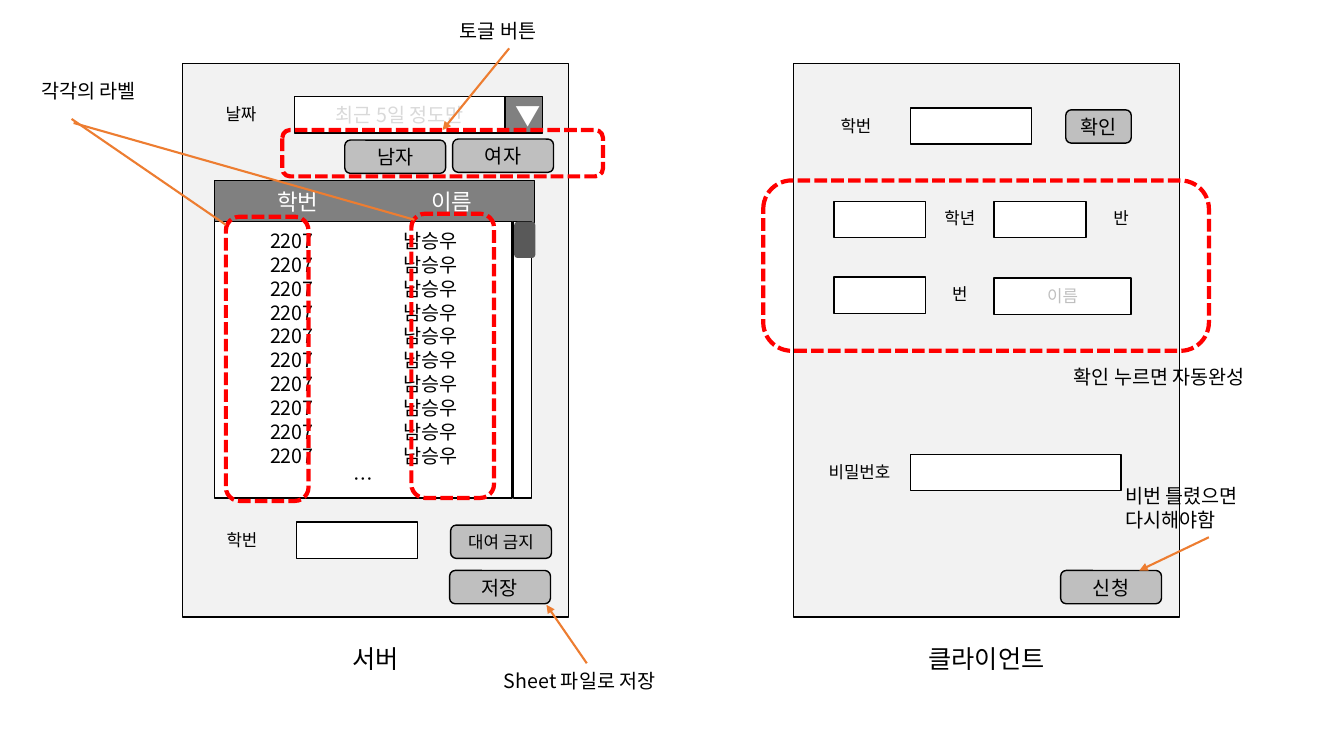
"""Build a wireframe slide of a server screen and a client screen with annotations."""
from lxml import etree
from pptx import Presentation
from pptx.dml.color import RGBColor
from pptx.enum.dml import MSO_LINE
from pptx.enum.shapes import MSO_CONNECTOR, MSO_SHAPE
from pptx.enum.text import MSO_ANCHOR, PP_ALIGN
from pptx.oxml.ns import qn
from pptx.util import Inches, Pt

RECTANGLE, ROUNDED = MSO_SHAPE.RECTANGLE, MSO_SHAPE.ROUNDED_RECTANGLE
LEFT, CENTER = PP_ALIGN.LEFT, PP_ALIGN.CENTER
TOP, MIDDLE = MSO_ANCHOR.TOP, MSO_ANCHOR.MIDDLE
STRAIGHT, DASHED = MSO_CONNECTOR.STRAIGHT, MSO_LINE.SQUARE_DOT
FONT = "Noto Sans CJK KR"
COLORS = {"black": "000000", "white": "FFFFFF", "panel": "F2F2F2", "button": "BFBFBF",
          "header": "808080", "thumb": "595959", "hint": "D9D9D9", "red": "FF0000",
          "orange": "ED7D31"}

PANEL_TOP, PANEL_WIDTH, PANEL_HEIGHT = 0.63, 3.83, 5.49
CAPTION_WIDTH, LABEL_WIDTH, FIELD_HEIGHT = 2.31, 0.68, 0.36
SCREENS = [("서버", 1.81), ("클라이언트", 7.87)]
FIELDS = [(9.03, 1.07, 1.2), (9.03, 4.51, 2.09), (8.27, 2, 0.91), (9.86, 2, 0.91),
          (8.27, 2.75, 0.91), (2.94, 5.18, 1.2)]
HINTS = [("최근 5일 정도만", 2.92, 0.96, 2.09, 14, "hint"),
         ("이름", 9.86, 2.76, 1.36, 12, "button")]
BUTTONS = [("신청", 10.52, 5.66, 1, 14), ("저장", 4.46, 5.66, 1, 14),
           ("대여 금지", 4.47, 5.21, 1, 12), ("남자", 3.42, 1.39, 1, 14),
           ("여자", 4.49, 1.38, 1, 14), ("확인", 10.57, 1.09, 0.65, 14)]
LABELS = [("학번", 8.15, 1.1), ("날짜", 2.05, 0.99), ("학년", 9.18, 2.02),
          ("반", 10.78, 2.02), ("번", 9.18, 2.77), ("학번", 2.06, 5.21)]
NOTES = [(["Sheet 파일로 저장"], 4.9, 6.58, 1.86, 0.34),
         (["비번 틀렸으면", "다시해야함"], 11.06, 4.75, 1.86, 0.57),
         (["확인 누르면 자동완성"], 10.55, 3.57, 2.34, 0.34),
         (["토글 버튼"], 4.46, 0.14, 1.17, 0.34),
         (["각각의 라벨"], 0.31, 0.73, 1.3, 0.34)]
HIGHLIGHTS = [(7.57, 1.79, 4.42, 1.69), (2.8, 1.29, 3.18, 0.46),
              (2.24, 2.15, 0.82, 2.82), (4.08, 2.12, 0.82, 2.82)]
POINTERS = [((5.82, 6.58), (5.42, 6), True), ((11.99, 5.33), (11.3, 5.66), True),
            ((5.05, 0.48), (4.39, 1.29), True), ((2.24, 2.23), (0.71, 1.18), False),
            ((4.11, 2.18), (0.73, 1.22), False)]
STUDENT_ROWS = [("2207", "남승우")] * 10


def rgb(name):
    return RGBColor.from_string(COLORS[name])


def write(shape, lines, size=14, color="black", align=CENTER, anchor=MIDDLE, tabs=()):
    frame = shape.text_frame
    frame.word_wrap = True
    frame.vertical_anchor = anchor
    for index, line in enumerate(lines):
        paragraph = frame.add_paragraph() if index else frame.paragraphs[0]
        tabbed = "\t" in line
        paragraph.alignment = LEFT if tabbed else align
        paragraph.line_spacing = Pt(round(size * 1.2))
        if tabbed:
            stops = etree.SubElement(paragraph._p.get_or_add_pPr(), qn("a:tabLst"))
            for position in tabs:
                etree.SubElement(stops, qn("a:tab"), pos=str(Inches(position)), algn="l")
        run = paragraph.add_run()
        run.text = line
        run.font.size = Pt(size)
        run.font.name = FONT
        run.font.color.rgb = rgb(color)
        etree.SubElement(run._r.get_or_add_rPr(), qn("a:ea"), typeface=FONT)


def add_box(left, top, width, height, fill="white", line="black", weight=1, kind=RECTANGLE):
    shape = slide.shapes.add_shape(kind, Inches(left), Inches(top), Inches(width), Inches(height))
    shape.shadow.inherit = False
    if fill:
        shape.fill.solid()
        shape.fill.fore_color.rgb = rgb(fill)
    else:
        shape.fill.background()
    if line:
        shape.line.color.rgb = rgb(line)
        shape.line.width = Pt(weight)
    else:
        shape.line.fill.background()
    return shape


def add_label(lines, left, top, width, height, **style):
    box = slide.shapes.add_textbox(Inches(left), Inches(top), Inches(width), Inches(height))
    write(box, lines, anchor=TOP, **style)


def add_pointer(start, end, arrow):
    line = slide.shapes.add_connector(STRAIGHT, *[Inches(value) for value in start + end])
    line.line.color.rgb = rgb("orange")
    line.line.width = Pt(1.5)
    if arrow:
        etree.SubElement(line.line._get_or_add_ln(), qn("a:tailEnd"), type="triangle")
    etree.SubElement(line._element.spPr, qn("a:effectLst"))


presentation = Presentation()
presentation.slide_width, presentation.slide_height = Inches(13.33), Inches(7.5)
slide = presentation.slides.add_slide(presentation.slide_layouts[6])

for caption, left in SCREENS:
    add_box(left, PANEL_TOP, PANEL_WIDTH, PANEL_HEIGHT, fill="panel")
    add_label([caption], left + (PANEL_WIDTH - CAPTION_WIDTH) / 2, 6.33, CAPTION_WIDTH, 0.4, size=18)

for left, top, width in FIELDS:
    add_box(left, top, width, FIELD_HEIGHT)
for text, left, top, width, size, color in HINTS:
    write(add_box(left, top, width, FIELD_HEIGHT), [text], size=size, color=color)
write(add_box(5.01, 0.96, 0.37, FIELD_HEIGHT, fill="header"), ["▼"], size=18, color="white")

header = add_box(2.13, 1.79, 3.17, 0.42, fill="header")
write(header, ["\t학번\t이름"], size=16, color="white", tabs=(0.52, 2.05))
student_list = add_box(2.13, 2.2, 2.95, 2.74)
write(student_list, ["\t" + "\t".join(row) for row in STUDENT_ROWS] + ["…"], tabs=(0.45, 1.77))
add_box(5.09, 2.2, 0.18, 2.74)
add_box(5.1, 2.2, 0.21, 0.36, fill="thumb", line=None, kind=ROUNDED)

for text, left, top, width, size in BUTTONS:
    write(add_box(left, top, width, 0.33, fill="button", kind=ROUNDED), [text], size=size)
for text, left, top in LABELS:
    add_label([text], left, top, LABEL_WIDTH, 0.3, size=12)
add_label(["비밀번호"], 8.02, 4.54, 1.01, 0.3, size=12)
for lines, left, top, width, height in NOTES:
    add_label(lines, left, top, width, height, align=LEFT)

for area in HIGHLIGHTS:
    highlight = add_box(*area, fill=None, line="red", weight=3, kind=ROUNDED)
    highlight.line.dash_style = DASHED
for start, end, arrow in POINTERS:
    add_pointer(start, end, arrow)

presentation.save("out.pptx")
